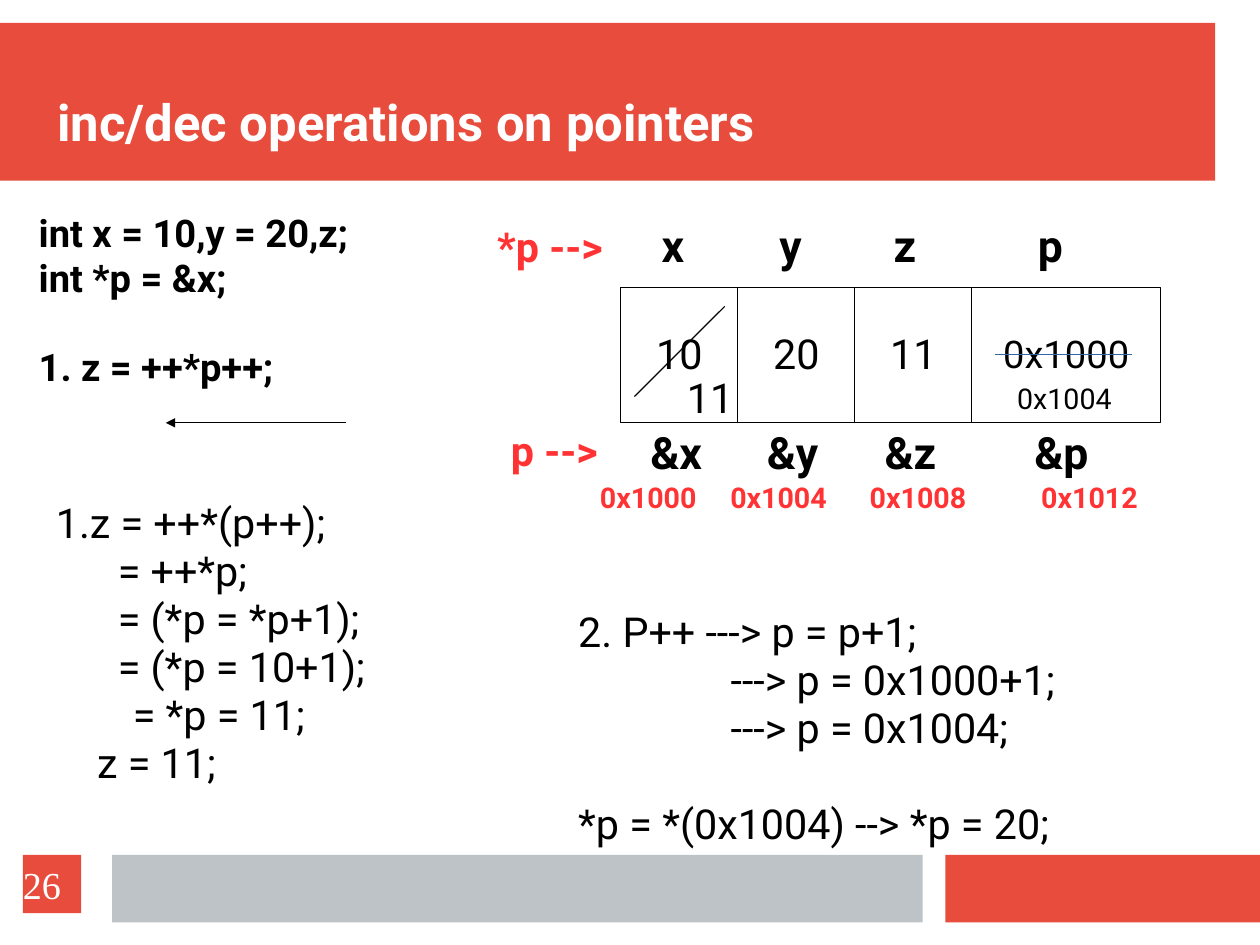
from pptx import Presentation
from pptx.util import Pt
from pptx.dml.color import RGBColor
from pptx.enum.shapes import MSO_SHAPE, MSO_CONNECTOR
from pptx.enum.text import MSO_ANCHOR, PP_ALIGN
from pptx.oxml.ns import qn
from lxml.etree import SubElement

HUES = {"red": "E74C3C", "gray": "BDC3C7", "white": "FFFFFF",
        "black": "000000", "note": "FF3333", "blue": "3465A4"}
FACE = "Roboto"
TITLE = "inc/dec operations on pointers"
PAGE = "26"

BANDS = [
    ("red", 0, 14.4, 765.4, 99.4),
    ("red", 595.4, 538.6, 198.4, 42.5),
    ("gray", 70.6, 538.6, 510.5, 42.5),
]
# name, value, value size, cell width, then left edges of name, ref and address
CELLS = [
    ("x", "10", 26, 73.7, 409.7, "0x1000", 402.5, 370.8),
    ("y", "20", 26, 73.7, 483.8, "0x1004", 475.9, 452.9),
    ("z", "11", 26, 73.7, 555.8, "0x1008", 550.1, 540.7),
    ("p", "0x1000", 24, 118.8, 646.6, "0x1012", 644.4, 648.7),
]
LABELS = [
    ("*p -->", 306, 137.5, 106, 26, "note", True),
    ("p -->", 314.7, 266.4, 106, 26, "note", True),
    ("11", 425.5, 232.6, 48, 26, "black", False),
    ("0x1004", 633.6, 237.6, 80, 18, "black", False),
]
# each line: text, indent, space before
SETUP = [
    ("int x = 10,y = 20,z;", 0, 0),
    ("int *p = &x;", 0, 0),
    ("1. z = ++*p++;", 0, 28),
]
STEPS = [
    ("1.z = ++*(p++);", 0, 0),
    ("= ++*p;", 39, 0),
    ("= (*p = *p+1);", 39, 0),
    ("= (*p = 10+1);", 39, 0),
    ("= *p = 11;", 48.5, 0),
    ("z = 11;", 26, 0),
]
MOVES = [
    ("2. P++ ---> p = p+1;", 0, 0),
    ("---> p = 0x1000+1;", 96, 0),
    ("---> p = 0x1004;", 96, 0),
    ("*p = *(0x1004) --> *p = 20;", 0, 30),
]
LINES = [
    ("black", 218.2, 266.4, 104.4, 266.4, True),
    ("black", 456.5, 193, 399.6, 249.8, False),
    ("blue", 626.4, 223.2, 712.8, 223.2, False),
]


def hue(name):
    return RGBColor.from_string(HUES[name])


def write(shape, lines, size, color, bold=False, align=PP_ALIGN.LEFT,
          anchor=MSO_ANCHOR.TOP, face=FACE, inset=True, pitch=0.97):
    frame = shape.text_frame
    frame.word_wrap = True
    frame.vertical_anchor = anchor
    side, edge = (7.2, 3.6) if inset else (0, 0)
    frame.margin_left = frame.margin_right = Pt(side)
    frame.margin_top = frame.margin_bottom = Pt(edge)
    for i, (text, indent, gap) in enumerate(lines):
        para = frame.add_paragraph() if i else frame.paragraphs[0]
        para.alignment = align
        para.line_spacing = pitch
        para.space_before = Pt(gap)
        if indent:
            props = para._p.get_or_add_pPr()
            props.set("marL", str(Pt(indent)))
            props.set("indent", "0")
        run = para.add_run()
        run.text = text
        run.font.name = face
        run.font.size = Pt(size)
        run.font.bold = bold
        run.font.color.rgb = hue(color)


def block(slide, fill, left, top, width, height, edge=None):
    shape = slide.shapes.add_shape(
        MSO_SHAPE.RECTANGLE, Pt(left), Pt(top), Pt(width), Pt(height))
    shape.shadow.inherit = False
    shape.fill.solid()
    shape.fill.fore_color.rgb = hue(fill)
    if edge:
        shape.line.color.rgb = hue(edge)
        shape.line.width = Pt(0.75)
    else:
        shape.line.fill.background()
    return shape


def note(slide, lines, left, top, width, height, *style):
    box = slide.shapes.add_textbox(Pt(left), Pt(top), Pt(width), Pt(height))
    write(box, lines, *style)


def rule(slide, color, x1, y1, x2, y2, arrow):
    line = slide.shapes.add_connector(
        MSO_CONNECTOR.STRAIGHT, Pt(x1), Pt(y1), Pt(x2), Pt(y2))
    line.line.color.rgb = hue(color)
    line.line.width = Pt(0.75)
    if arrow:
        SubElement(line.line._get_or_add_ln(), qn("a:tailEnd"), type="triangle")
    SubElement(line._element.spPr, qn("a:effectLst"))


def main():
    deck = Presentation()
    deck.slide_width, deck.slide_height = Pt(793.6), Pt(595.4)
    slide = deck.slides.add_slide(deck.slide_layouts[5])
    for band in BANDS:
        block(slide, *band)

    title = slide.shapes.title
    title.left, title.top, title.width, title.height = (
        Pt(36), Pt(28.1), Pt(726.5), Pt(68.4))
    write(title, [(TITLE, 0, 0)], 32, "white", True,
          anchor=MSO_ANCHOR.BOTTOM, inset=False)
    title.element.getparent().append(title.element)

    note(slide, SETUP, 17.3, 130.3, 283.7, 130, 24, "black", True)

    left = 391
    for name, value, size, width, head, place, ref, spot in CELLS:
        cell = block(slide, "white", left, 181.4, width, 85, "black")
        write(cell, [(value, 0, 0)], size, "black", align=PP_ALIGN.CENTER,
              anchor=MSO_ANCHOR.MIDDLE)
        note(slide, [(name, 0, 0)], head, 136, 35, 41, 28, "black", True)
        note(slide, [("&" + name, 0, 0)], ref, 266, 58, 41, 28, "black", True)
        note(slide, [(place, 0, 0)], spot, 300.2, 88.6, 29, 18, "note", True)
        left += width

    for text, x, y, width, size, color, bold in LABELS:
        note(slide, [(text, 0, 0)], x, y, width, size * 1.5, size, color, bold)
    note(slide, STEPS, 28.1, 311.8, 262.8, 189.4, 26, "black")
    note(slide, MOVES, 357.1, 380.2, 380.9, 159.1, 26, "black")
    for line in LINES:
        rule(slide, *line)

    badge = block(slide, "red", 14.4, 538.6, 36.7, 36.7)
    write(badge, [(PAGE, 0, 0)], 24, "white", anchor=MSO_ANCHOR.MIDDLE,
          face="Times New Roman", inset=False, pitch=1.0)
    deck.save("out.pptx")


if __name__ == "__main__":
    main()
